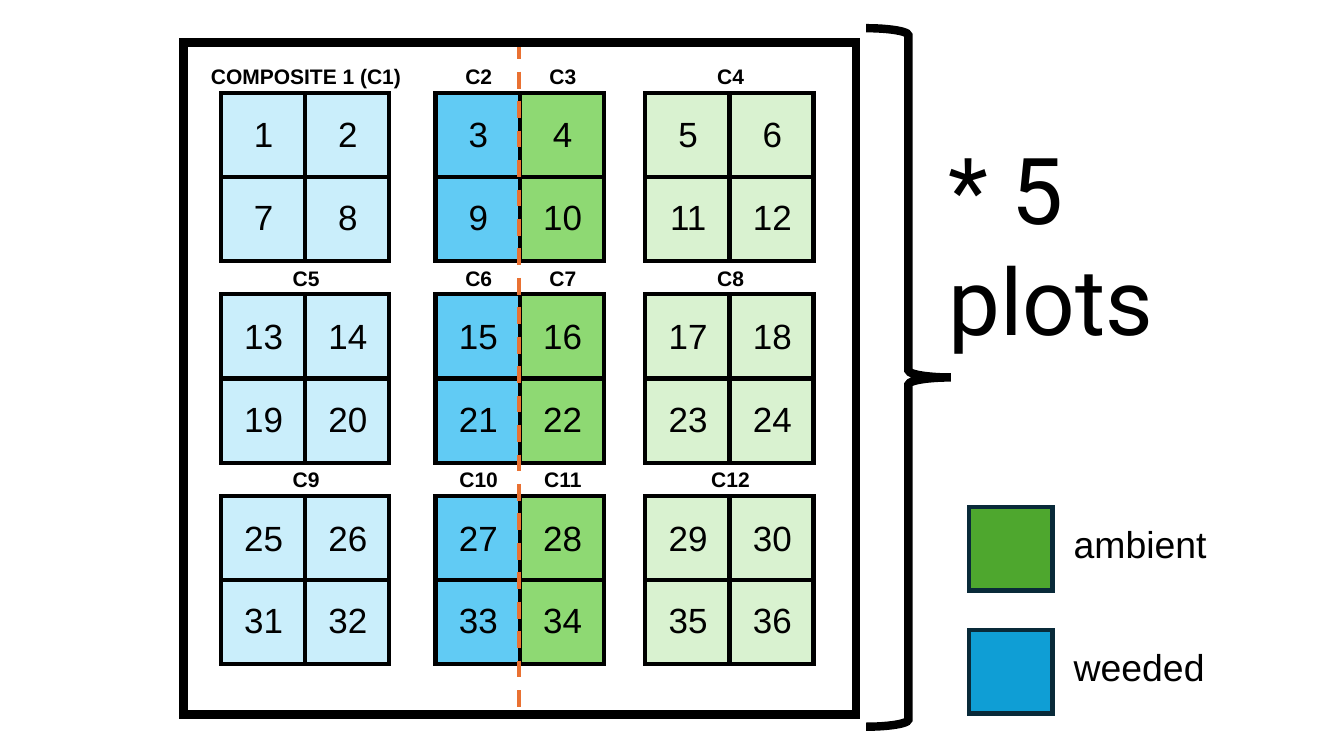
from dataclasses import dataclass
from itertools import count, product
from typing import Optional

from pptx import Presentation
from pptx.dml.color import RGBColor
from pptx.enum.dml import MSO_LINE
from pptx.enum.shapes import MSO_CONNECTOR, MSO_SHAPE
from pptx.enum.text import MSO_AUTO_SIZE, PP_ALIGN
from pptx.oxml.ns import qn
from pptx.shapes.autoshape import Shape
from pptx.slide import Slide
from pptx.util import Inches, Pt
from lxml.etree import SubElement


@dataclass(frozen=True)
class Theme:
    black: str = "000000"
    divider: str = "E97132"
    pale_blue: str = "CAEEFB"
    blue: str = "61CBF4"
    pale_green: str = "D9F2D0"
    green: str = "8ED973"
    ambient: str = "4EA72E"
    weeded: str = "0F9ED5"
    key_line: str = "092A39"
    font: str = "Arial"
    title_font: str = "Roboto"
    label_size: float = 15
    number_size: float = 25
    key_size: float = 26.7
    title_size: float = 66
    thin: float = 3
    thick: float = 6


@dataclass(frozen=True)
class BlockColumn:
    left: float
    fills: tuple[str, ...]


@dataclass(frozen=True)
class Key:
    top: float
    text: str
    fill: str


T = Theme()
BLOCK = 1.67
CELL = BLOCK / 2
ROW_TOPS = [0.92 + 2 * row for row in range(3)]
COLUMNS = [
    BlockColumn(2.19, (T.pale_blue,)),
    BlockColumn(4.32, (T.blue, T.green)),
    BlockColumn(6.4, (T.pale_green,)),
]
KEYS = [Key(5.03, "ambient", T.ambient), Key(6.25, "weeded", T.weeded)]


def add_shape(s: Slide, kind: MSO_SHAPE, x: float, y: float, w: float, h: float,
              fill: Optional[str] = None, line: Optional[str] = None,
              width: float = T.thin) -> Shape:
    sp = s.shapes.add_shape(kind, Inches(x), Inches(y), Inches(w), Inches(h))
    sp.shadow.inherit = False
    if fill:
        sp.fill.solid()
        sp.fill.fore_color.rgb = RGBColor.from_string(fill)
    else:
        sp.fill.background()
    if line:
        sp.line.color.rgb = RGBColor.from_string(line)
        sp.line.width = Pt(width)
        SubElement(sp.line._get_or_add_ln(), qn("a:miter"), lim="800000")
    else:
        sp.line.fill.background()
    return sp


def add_line(s: Slide, x1: float, y1: float, x2: float, y2: float,
             color: str = T.black, dash: Optional[MSO_LINE] = None) -> None:
    c = s.shapes.add_connector(MSO_CONNECTOR.STRAIGHT, Inches(x1), Inches(y1),
                               Inches(x2), Inches(y2))
    c.line.color.rgb = RGBColor.from_string(color)
    c.line.width = Pt(T.thin)
    if dash:
        c.line.dash_style = dash
    SubElement(c._element.spPr, qn("a:effectLst"))


def add_text(s: Slide, text: str, x: float, y: float, w: float, h: float, size: float,
             bold: bool = False, font: str = T.font, wrap: bool = False,
             align: PP_ALIGN = PP_ALIGN.CENTER) -> None:
    tf = s.shapes.add_textbox(Inches(x), Inches(y), Inches(w), Inches(h)).text_frame
    tf.word_wrap = wrap
    tf.auto_size = MSO_AUTO_SIZE.SHAPE_TO_FIT_TEXT
    p = tf.paragraphs[0]
    p.text = text
    p.alignment = align
    p.font.name = font
    p.font.size = Pt(size)
    p.font.bold = bold
    p.font.color.rgb = RGBColor.from_string(T.black)


def add_block(s: Slide, column: BlockColumn, top: float) -> None:
    left = column.left
    part = BLOCK / len(column.fills)
    for i, fill in enumerate(column.fills):
        add_shape(s, MSO_SHAPE.RECTANGLE, left + i * part, top, part, BLOCK, fill)
    add_shape(s, MSO_SHAPE.RECTANGLE, left, top, BLOCK, BLOCK, line=T.black)
    add_line(s, left + CELL, top, left + CELL, top + BLOCK)
    add_line(s, left, top + CELL, left + BLOCK, top + CELL)


def add_numbers(s: Slide, row: int, col: int) -> None:
    for sub, half in product(range(2), repeat=2):
        number = 12 * row + 6 * sub + 2 * col + half + 1
        add_text(s, str(number), COLUMNS[col].left + 0.13 + half * CELL,
                 ROW_TOPS[row] + 0.15 + sub * 0.82, 0.59, 0.52, T.number_size)


def add_labels(s: Slide) -> None:
    numbers = count(1)
    for top, column in product(ROW_TOPS, COLUMNS):
        part = BLOCK / len(column.fills)
        for i in range(len(column.fills)):
            n = next(numbers)
            text, w = ("COMPOSITE 1 (C1)", 2.11) if n == 1 else (f"C{n}", 0.59)
            center = column.left + (i + 0.5) * part + 0.01
            add_text(s, text, center - w / 2, top - 0.34, w, 0.35, T.label_size, bold=True)


def add_key(s: Slide, key: Key) -> None:
    add_shape(s, MSO_SHAPE.RECTANGLE, 9.61, key.top, 0.83, 0.83, key.fill, T.key_line)
    add_text(s, key.text, 10.55, key.top + 0.09, 1.53, 0.55, T.key_size, align=PP_ALIGN.LEFT)


def main() -> None:
    prs = Presentation()
    prs.slide_width, prs.slide_height = Inches(13.33), Inches(7.5)
    s = prs.slides.add_slide(prs.slide_layouts[6])
    for top, column in product(ROW_TOPS, COLUMNS):
        add_block(s, column, top)
    add_line(s, 5.15, 0.42, 5.15, 7.08, T.divider, MSO_LINE.DASH)
    add_shape(s, MSO_SHAPE.RECTANGLE, 1.82, 0.42, 6.67, 6.67, line=T.black, width=T.thick)
    add_labels(s)
    for row, col in product(range(3), repeat=2):
        add_numbers(s, row, col)
    for key in KEYS:
        add_key(s, key)
    add_shape(s, MSO_SHAPE.RIGHT_BRACE, 8.59, 0.28, 0.84, 6.93, line=T.black, width=T.thick)
    add_text(s, "* 5 plots", 9.31, 1.26, 3.51, 1.21, T.title_size,
             font=T.title_font, wrap=True, align=PP_ALIGN.LEFT)
    prs.save("out.pptx")


if __name__ == "__main__":
    main()
